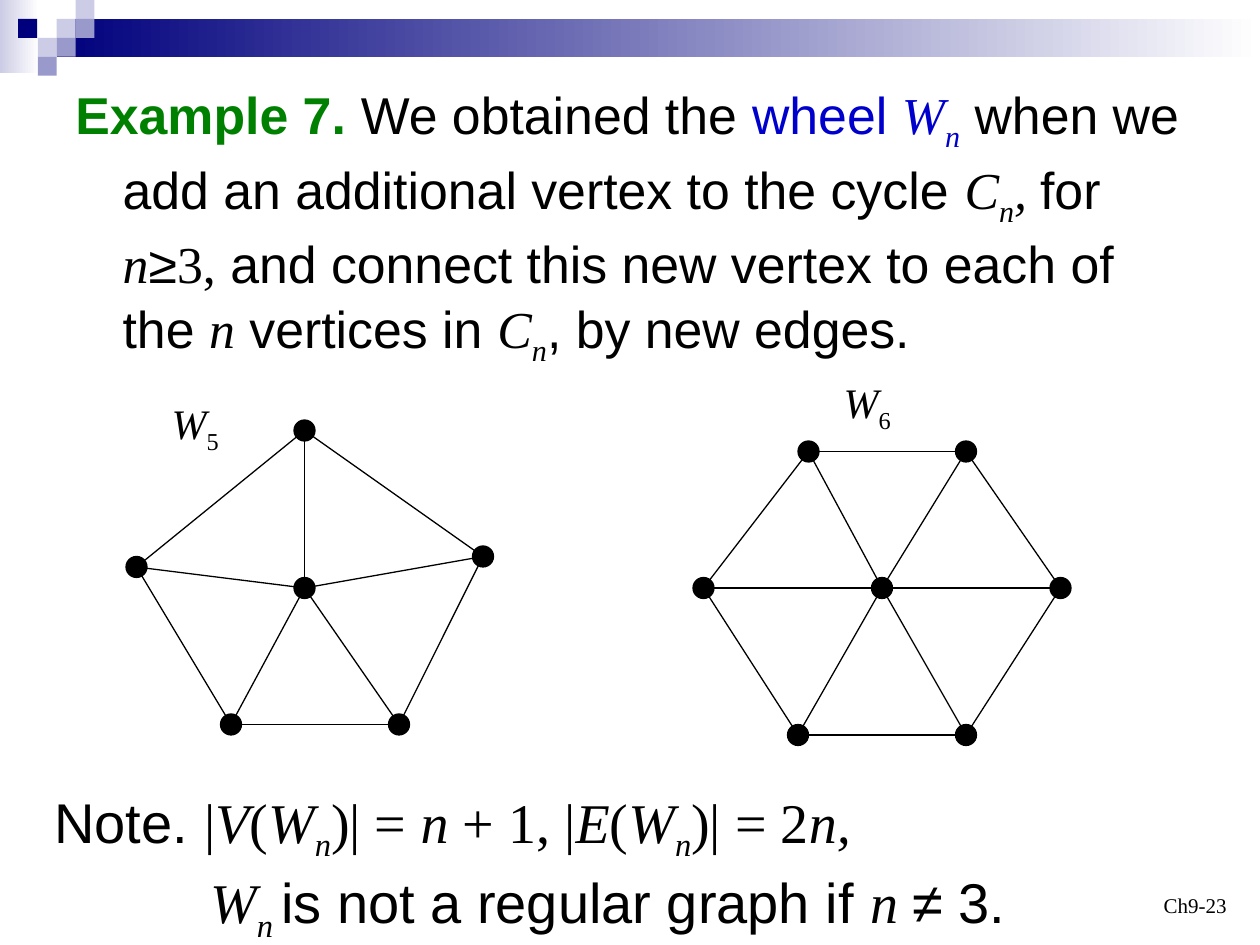
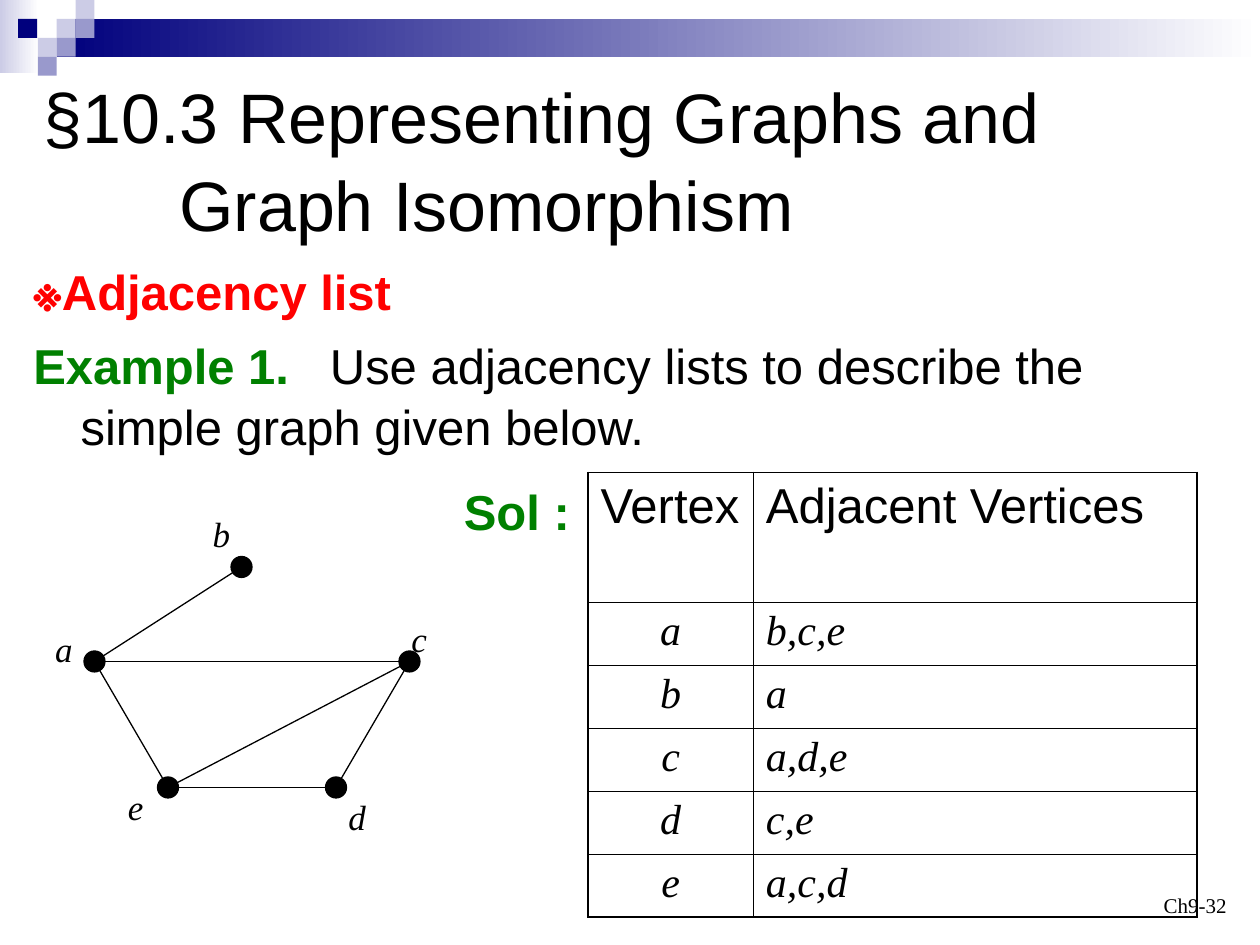
from dataclasses import dataclass

from lxml import etree
from pptx import Presentation
from pptx import util as u
from pptx.dml.color import RGBColor
from pptx.enum import shapes, text
from pptx.oxml import ns


@dataclass(frozen=True)
class Theme:
    sans: str = "Arial"
    serif: str = "Times New Roman"
    black: str = "000000"
    white: str = "FFFFFF"
    navy: str = "00007D"
    lilac: str = "9999CC"
    pale: str = "CCCCE6"
    green: str = "008000"
    blue: str = "0000CC"
    red: str = "FF0000"
    title: float = 40
    note: float = 32
    example: float = 29.6
    body: float = 28
    math: float = 24
    label: float = 20
    footer: float = 12
    leading: float = 1.05
    hairline: float = 0.45
    frame: float = 1.08
    edge: float = 0.75


T = Theme()
PLAIN = {}
MATH = dict(font=T.serif, italic=True)
ROMAN = dict(font=T.serif)
SUB = dict(MATH, attrs={"baseline": "-25000"})
ROMAN_SUB = dict(ROMAN, attrs={"baseline": "-25000"})
HEAD = dict(bold=True, color=T.green)
RIGHT, CENTER = text.PP_ALIGN.RIGHT, text.PP_ALIGN.CENTER


def write(tf, runs, size, first=True, align=None, leading=T.leading,
          before=0, left=0, hang=0):
    """Write one paragraph from (text, format) pairs; attrs are raw run attributes."""
    p = tf.paragraphs[0] if first else tf.add_paragraph()
    p.alignment, p.line_spacing, p.space_before = align, leading, u.Pt(before)
    pPr = p._p.get_or_add_pPr()
    pPr.set("marL", str(u.Pt(left)))
    pPr.set("indent", str(u.Pt(-hang)))
    for words, fmt in runs:
        r = p.add_run()
        r.text = words
        r.font.size = u.Pt(size)
        r.font.name = fmt.get("font", T.sans)
        r.font.bold = fmt.get("bold", False)
        r.font.italic = fmt.get("italic", False)
        r.font.color.rgb = RGBColor.from_string(fmt.get("color", T.black))
        for key, value in fmt.get("attrs", {}).items():
            r._r.get_or_add_rPr().set(key, value)


def add_frame(s, left, top, width, height, anchor=text.MSO_ANCHOR.TOP):
    tf = s.shapes.add_textbox(*map(u.Pt, (left, top, width, height))).text_frame
    tf.word_wrap = True
    tf.vertical_anchor = anchor
    return tf


prs = Presentation()
prs.slide_width, prs.slide_height = u.Pt(720), u.Pt(540)

# Shared band, corner squares and footer
bands = [
    (0, 0, 22.3, 41.8, (T.pale, T.white)),
    (32.4, 10.8, 687.6, 21.6, (T.navy, T.white)),
]
squares = [
    (32.4, 10.8, T.pale), (43.2, 0, T.pale), (43.2, 10.8, T.lilac),
    (21.6, 21.6, T.pale), (10.4, 10.8, T.navy), (32.4, 21.6, T.lilac),
    (21.6, 32.4, T.lilac),
]
bands += [(x, y, 10.8, 10.8, (color,)) for x, y, color in squares]

slides = []
for footer in ("Ch9-23", "Ch9-32"):
    s = prs.slides.add_slide(prs.slide_layouts[6])
    slides.append(s)
    for x, y, w, h, colors in bands:
        sp = s.shapes.add_shape(shapes.MSO_SHAPE.RECTANGLE, *map(u.Pt, (x, y, w, h)))
        sp.shadow.inherit = False
        sp.line.fill.background()
        if len(colors) == 1:
            sp.fill.solid()
            sp.fill.fore_color.rgb = RGBColor.from_string(colors[0])
        else:
            sp.fill.gradient()
            sp.fill.gradient_angle = 0
            for stop, color in zip(sp.fill.gradient_stops, colors):
                stop.color.rgb = RGBColor.from_string(color)
    tf = add_frame(s, 540, 492, 168, 36, text.MSO_ANCHOR.BOTTOM)
    write(tf, [(footer, ROMAN)], T.footer, align=RIGHT)
wheels, adjacency = slides

# Graphs: vertex centres and index pairs
graphs = []
for hub, rim in [
    ((174, 336), [(174, 246), (276, 318), (228, 414), (132, 414), (78, 324)]),
    ((504, 336), [(462, 258), (552, 258), (606, 336), (552, 420), (456, 420),
                  (402, 336)]),
]:
    n = len(rim)
    edges = [(i, (i + 1) % n) for i in range(n)] + [(n, i) for i in range(n)]
    graphs.append((wheels, rim + [hub], edges))

a, b, c, d, e = range(5)
graphs.append((
    adjacency,
    [(54, 378), (138, 324), (234, 378), (192, 450), (96, 450)],
    [(a, b), (a, c), (a, e), (c, d), (c, e), (d, e)],
))

radius = 6
for s, vertices, edges in graphs:
    for start, end in edges:
        line = s.shapes.add_connector(
            shapes.MSO_CONNECTOR.STRAIGHT, *map(u.Pt, vertices[start] + vertices[end]))
        line.line.width = u.Pt(T.edge)
        line.line.color.rgb = RGBColor.from_string(T.black)
        etree.SubElement(line._element.spPr, ns.qn("a:effectLst"))
    for x, y in vertices:
        dot = s.shapes.add_shape(
            shapes.MSO_SHAPE.OVAL,
            *map(u.Pt, (x - radius, y - radius, 2 * radius, 2 * radius)))
        dot.shadow.inherit = False
        dot.fill.solid()
        dot.fill.fore_color.rgb = RGBColor.from_string(T.black)
        dot.line.width = u.Pt(T.edge)
        dot.line.color.rgb = RGBColor.from_string(T.black)

# Slide 1: wheel graphs
write(add_frame(wheels, 36, 42, 648, 174), [
    ("Example 7. ", HEAD), ("We obtained the ", PLAIN),
    ("wheel ", dict(color=T.blue)), ("W", dict(MATH, color=T.blue)),
    ("n", dict(SUB, color=T.blue)),
    (" when we add an additional vertex to the cycle ", PLAIN),
    ("C", MATH), ("n", SUB), (", ", MATH), ("for ", PLAIN),
    ("n", MATH), ("≥", PLAIN), ("3,", ROMAN),
    (" and connect this new vertex to each of the ", PLAIN),
    ("n", MATH), (" vertices in ", PLAIN), ("C", MATH), ("n", SUB),
    (", by new edges.", PLAIN),
], T.example, left=27, hang=27)

for x, y, order in [(91, 222, "5"), (475, 210, "6")]:
    write(add_frame(wheels, x, y, 60, 40), [("W", MATH), (order, ROMAN_SUB)], T.math)

tf = add_frame(wheels, 24, 444, 594, 95)
write(tf, [
    ("Note. ", PLAIN), ("|", ROMAN), ("V", MATH), ("(", ROMAN), ("W", MATH),
    ("n", SUB), (")| = ", ROMAN), ("n", MATH), (" + 1, |", ROMAN), ("E", MATH),
    ("(", ROMAN), ("W", MATH), ("n", SUB), (")| = 2", ROMAN), ("n,", MATH),
], T.note)
write(tf, [
    ("W", MATH), ("n ", SUB), ("is not a regular graph if ", PLAIN),
    ("n ", MATH), ("≠ 3.", PLAIN),
], T.note, first=False, left=89)

# Slide 2: adjacency list
tf = add_frame(adjacency, 18, 36, 648, 108, text.MSO_ANCHOR.MIDDLE)
write(tf, [("§10.3 Representing Graphs and", PLAIN)], T.title)
write(tf, [("Graph Isomorphism", PLAIN)], T.title, first=False, left=77.5)

tf = add_frame(adjacency, 12, 144, 696, 120)
write(tf, [("※Adjacency list", dict(bold=True, color=T.red))], T.body,
      left=27, hang=27)
write(tf, [
    ("Example 1.", HEAD), (" ", dict(attrs={"spc": "1560"})),
    ("Use adjacency lists to describe the simple graph given below.", PLAIN),
], T.body, first=False, before=7, left=27, hang=27)

write(add_frame(adjacency, 258, 270, 80, 41), [("Sol :", HEAD)], T.body)

for x, y, name in [(24.5, 354, "a"), (114.5, 288, "b"), (228, 348, "c"),
                   (192, 450, "d"), (66, 444, "e")]:
    write(add_frame(adjacency, x, y, 30, 32), [(name, MATH)], T.label)

rows = [
    ("Vertex", "Adjacent Vertices"),
    ("a", "b,c,e"), ("b", "a"), ("c", "a,d,e"), ("d", "c,e"), ("e", "a,c,d"),
]
heights = [74] + [36] * 5
widths = [94.5, 253.5]
table = adjacency.shapes.add_table(
    len(rows), len(widths), u.Pt(336), u.Pt(270),
    u.Pt(sum(widths)), u.Pt(sum(heights))).table
table.first_row = table.horz_banding = False
for column, width in zip(table.columns, widths):
    column.width = u.Pt(width)
for i, row in enumerate(rows):
    table.rows[i].height = u.Pt(heights[i])
    for j, words in enumerate(row):
        cell = table.cell(i, j)
        header = i == 0
        write(cell.text_frame, [(words, PLAIN if header else MATH)],
              T.body if header else T.math, leading=1,
              align=CENTER if j == 0 and not header else None)
        outer = {"L": j == 0, "R": j == len(row) - 1,
                 "T": header, "B": i == len(rows) - 1}
        for side, on_frame in outer.items():
            ln = etree.SubElement(cell._tc.get_or_add_tcPr(), ns.qn("a:ln" + side))
            ln.set("w", str(u.Pt(T.frame if on_frame else T.hairline)))
            fill = etree.SubElement(ln, ns.qn("a:solidFill"))
            etree.SubElement(fill, ns.qn("a:srgbClr")).set("val", T.black)
        cell.fill.background()

prs.save("out.pptx")
